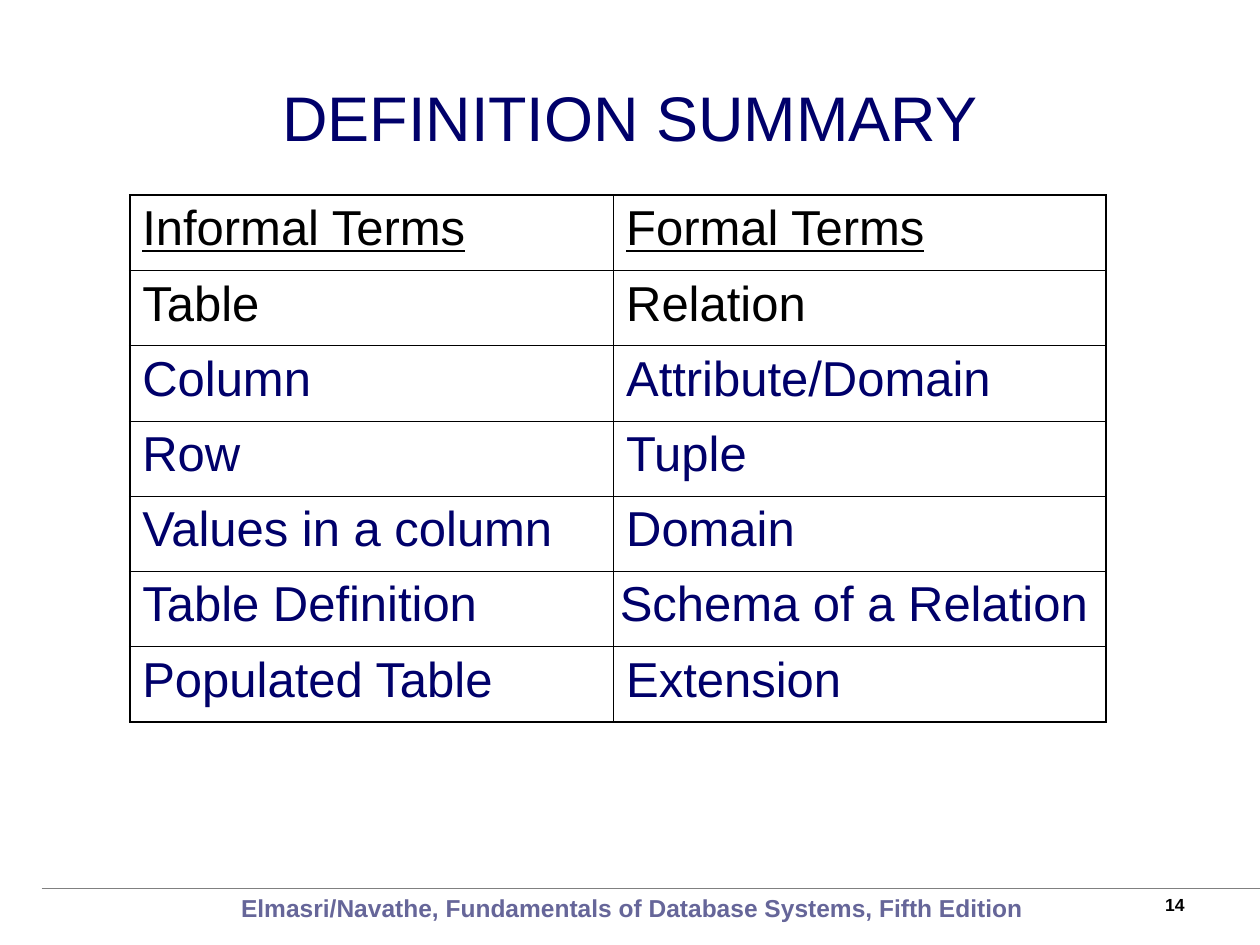
import pptx
import pptx.dml.color
import pptx.enum.shapes
import pptx.enum.text
import pptx.oxml
import pptx.oxml.ns
import pptx.util
from pptx.util import Inches

NAVY, BLACK, SLATE, GRAY = "00006A", "000000", "666699", "808080"
THIN, THICK = 0.45, 1.08
TERMS = [
    ("Informal Terms", "Formal Terms"),
    ("Table", "Relation"),
    ("Column", "Attribute/Domain"),
    ("Row", "Tuple"),
    ("Values in a column", "Domain"),
    ("Table Definition", "Schema of a Relation"),
    ("Populated Table", "Extension"),
]


def rgb(value):
    """Return the colour for a hex string."""
    return pptx.dml.color.RGBColor.from_string(value)


def style_run(r, size, color, bold=False, underline=False):
    """Format one run in Arial."""
    r.font.name = "Arial"
    r.font.size = pptx.util.Pt(size)
    r.font.color.rgb = rgb(color)
    r.font.bold = bold
    r.font.underline = underline


def add_text(s, box, text, size, color, align, anchor, bold=False):
    """Add a one-line text box in the given box."""
    tf = s.shapes.add_textbox(*map(Inches, box)).text_frame
    tf.word_wrap = True
    tf.vertical_anchor = anchor
    tf.text = text
    p = tf.paragraphs[0]
    p.alignment = align
    style_run(p.runs[0], size, color, bold)


def set_borders(cell, widths):
    """Draw black cell borders from a dict of side to width in points."""
    tc_pr = cell._tc.get_or_add_tcPr()
    for side in "LRTB":
        tc_pr.append(pptx.oxml.parse_xml(
            f'<a:ln{side} {pptx.oxml.ns.nsdecls("a")} w="{pptx.util.Pt(widths[side])}">'
            f'<a:solidFill><a:srgbClr val="{BLACK}"/></a:solidFill></a:ln{side}>'))


def add_terms_table(s, box):
    """Add the table of informal and formal terms in the given box."""
    left, top, width, height = box
    last = len(TERMS) - 1
    table = s.shapes.add_table(len(TERMS), 2, *map(Inches, box)).table
    table.first_row = table.horz_banding = False
    table.columns[0].width = Inches(3.84)
    table.columns[1].width = Inches(width - 3.84)
    for i, terms in enumerate(TERMS):
        table.rows[i].height = Inches(height / len(TERMS))
        for j, term in enumerate(terms):
            cell = table.cell(i, j)
            set_borders(cell, {
                "L": THICK if j == 0 else THIN,
                "R": THICK if j == 1 else THIN,
                "T": THICK if i == 0 else THIN,
                "B": THICK if i == last else THIN,
            })
            cell.fill.background()
            inset = 0.05 if term == "Schema of a Relation" else 0.1
            cell.margin_left = cell.margin_right = Inches(inset)
            cell.margin_top = cell.margin_bottom = Inches(0.05)
            cell.text_frame.text = term
            r = cell.text_frame.paragraphs[0].runs[0]
            style_run(r, 28, BLACK if i < 2 else NAVY, underline=i == 0)


def add_footer(s, box):
    """Add the rule, book title and page number in the given box."""
    left, top, width, height = box
    line = s.shapes.add_connector(
        pptx.enum.shapes.MSO_CONNECTOR.STRAIGHT,
        Inches(left), Inches(top), Inches(left + width), Inches(top))
    line.line.color.rgb = rgb(GRAY)
    line.line.width = pptx.util.Pt(0.75)
    line._element.spPr.append(
        pptx.oxml.parse_xml(f'<a:effectLst {pptx.oxml.ns.nsdecls("a")}/>'))
    align, anchor = pptx.enum.text.PP_ALIGN, pptx.enum.text.MSO_ANCHOR
    add_text(s, (left + 0.57, top - 0.18, 8.29, 0.5),
             "Elmasri/Navathe, Fundamentals of Database Systems, Fifth Edition ",
             14, SLATE, align.CENTER, anchor.BOTTOM, bold=True)
    add_text(s, (left + 6.84, top, 2.33, height), "14",
             10, BLACK, align.RIGHT, anchor.TOP, bold=True)


def add_title(s, box):
    """Add the centred slide title in the given box."""
    add_text(s, box, "DEFINITION SUMMARY", 36, NAVY,
             pptx.enum.text.PP_ALIGN.CENTER, pptx.enum.text.MSO_ANCHOR.MIDDLE)


def main():
    """Build and save the slide."""
    prs = pptx.Presentation()
    prs.slide_width, prs.slide_height = Inches(10), Inches(7.5)
    s = prs.slides.add_slide(prs.slide_layouts[6])
    add_footer(s, (0.33, 7.05, 9.69, 0.3))
    add_title(s, (0.5, 0.3, 9, 1.25))
    add_terms_table(s, (1.03, 1.55, 7.75, 4.18))
    prs.save("out.pptx")


if __name__ == "__main__":
    main()
